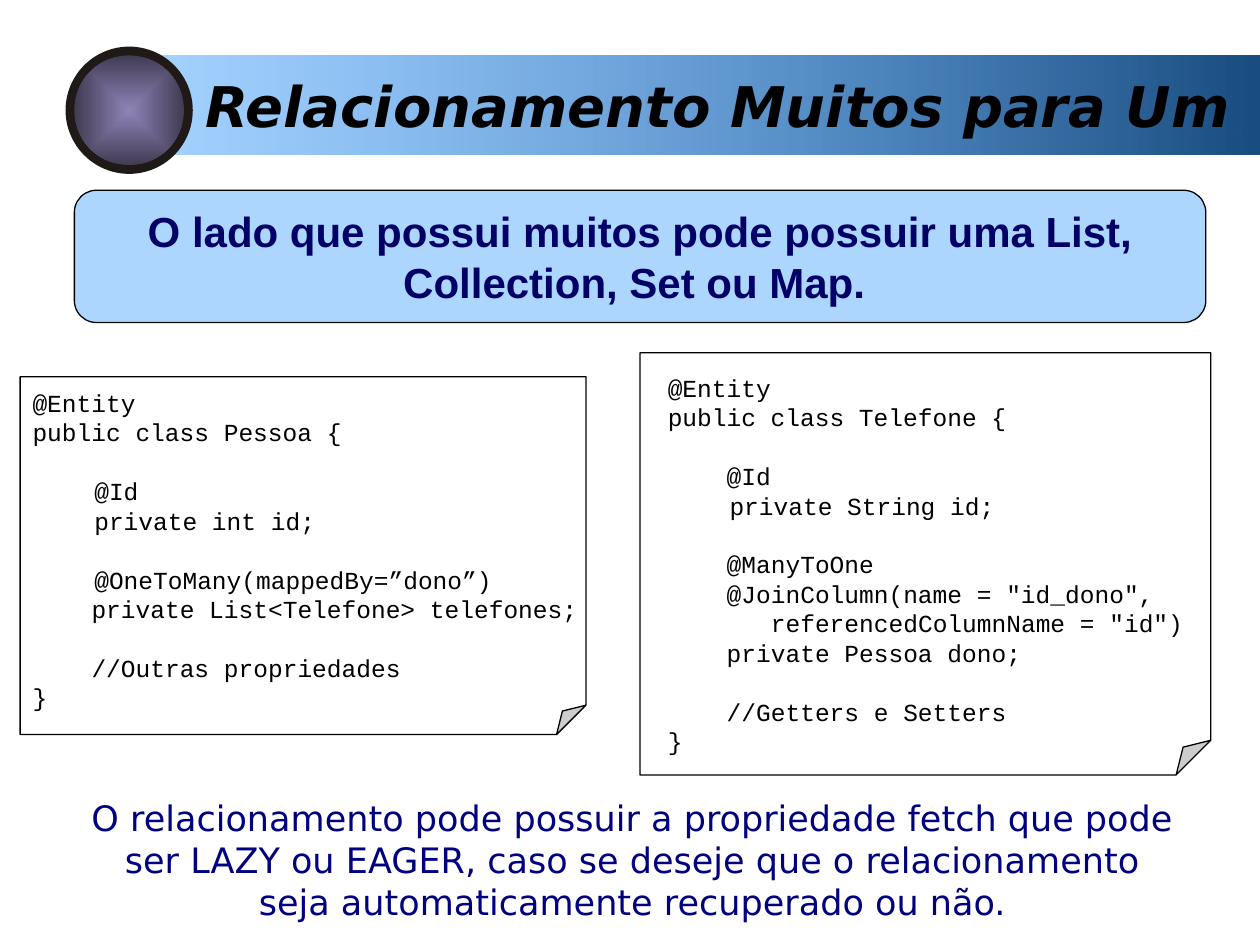
from lxml import etree
from pptx import Presentation
from pptx.dml.color import RGBColor
from pptx.enum.shapes import MSO_SHAPE
from pptx.enum.text import MSO_ANCHOR, MSO_AUTO_SIZE, PP_ALIGN
from pptx.oxml.ns import qn
from pptx.util import Inches, Pt

RECT, OVAL = MSO_SHAPE.RECTANGLE, MSO_SHAPE.OVAL
ROUNDED, FOLDED = MSO_SHAPE.ROUNDED_RECTANGLE, MSO_SHAPE.FOLDED_CORNER
LEFT, CENTER = PP_ALIGN.LEFT, PP_ALIGN.CENTER
TOP, MIDDLE = MSO_ANCHOR.TOP, MSO_ANCHOR.MIDDLE
NO_FIT = MSO_AUTO_SIZE.NONE

COLORS = {
    "black": "000000", "white": "FFFFFF", "banner": "194D81", "sky": "3399FF",
    "ring": "1F1A17", "lilac": "8E84B7", "plum": "413C54",
    "callout": "000066", "navy": "000080",
}
LINE_HEIGHT = 1.2   # of the font size
TAB = 0.49          # indent by one tab stop
CHAR = 0.117        # width of one code character
FOUR = 4 * CHAR
SEVEN = 7 * CHAR

# Code lines: (indent in inches, blank line above, text)
PESSOA = [
    (0, False, "@Entity"),
    (0, False, "public class Pessoa {"),
    (TAB, True, "@Id"),
    (TAB, False, "private int id;"),
    (TAB, True, "@OneToMany(mappedBy=”dono”)"),
    (FOUR, False, "private List<Telefone> telefones;"),
    (FOUR, True, "//Outras propriedades"),
    (0, False, "}"),
]
TELEFONE = [
    (0, False, "@Entity"),
    (0, False, "public class Telefone {"),
    (FOUR, True, "@Id"),
    (TAB, False, "private String id;"),
    (FOUR, True, "@ManyToOne"),
    (FOUR, False, '@JoinColumn(name = "id_dono",'),
    (SEVEN, False, 'referencedColumnName = "id")'),
    (FOUR, False, "private Pessoa dono;"),
    (FOUR, True, "//Getters e Setters"),
    (0, False, "}"),
]


def rgb(name):
    return RGBColor.from_string(COLORS[name])


def set_alpha(color_parent, percent):
    """Make the first RGB colour below the element partly transparent."""
    color = next(color_parent.iter(qn("a:srgbClr")))
    etree.SubElement(color, qn("a:alpha")).set("val", str(percent * 1000))


def set_adjustment(sp, value):
    """Set the corner size in XML, as python-pptx lists none for a folded corner."""
    guides = next(sp._element.spPr.iter(qn("a:avLst")))
    etree.SubElement(guides, qn("a:gd"), name="adj", fmla=f"val {round(value * 100000)}")


class SlideBuilder:
    def __init__(self, slide):
        self.slide = slide

    def shape(self, kind, box, fill=None, line=None, alpha=None, adj=None):
        sp = self.slide.shapes.add_shape(kind, *map(Inches, box))
        sp.shadow.inherit = False
        if adj is not None:
            set_adjustment(sp, adj)
        if fill:
            sp.fill.solid()
            sp.fill.fore_color.rgb = rgb(fill)
        if alpha:
            set_alpha(sp._element.spPr, alpha)
        if line:
            sp.line.color.rgb = rgb(line)
            sp.line.width = Pt(0.75)
        else:
            sp.line.fill.background()
        return sp

    def gradient(self, sp, start, end, angle=0):
        sp.fill.gradient()
        sp.fill.gradient_angle = angle
        for stop, color, position in zip(sp.fill.gradient_stops, (start, end), (0, 1)):
            stop.color.rgb = rgb(color)
            stop.position = position
        return sp._element.spPr.find(qn("a:gradFill"))

    def frame(self, sp, insets=(0.1, 0.05, 0.1, 0.05), anchor=TOP):
        tf = sp.text_frame
        tf.word_wrap = True
        tf.auto_size = NO_FIT
        tf.vertical_anchor = anchor
        tf.margin_left, tf.margin_top, tf.margin_right, tf.margin_bottom = map(Inches, insets)
        return tf

    def paragraph(self, p, text, font, size, color, align=LEFT, bold=False, italic=False):
        p.alignment = align
        p.line_spacing = Pt(size * LINE_HEIGHT)
        p.space_before = Pt(0)
        r = p.add_run()
        r.text = text
        r.font.name, r.font.size = font, Pt(size)
        r.font.bold, r.font.italic = bold, italic
        r.font.color.rgb = rgb(color)

    def title(self, box, text):
        sp = self.slide.shapes.title
        sp.left, sp.top, sp.width, sp.height = map(Inches, box)
        tree = sp._element.getparent()
        tree.append(sp._element)  # in front of the banner
        self.paragraph(self.frame(sp).paragraphs[0], text, "DejaVu Sans", 32,
                       "black", bold=True, italic=True)

    def banner(self, box):
        sp = self.shape(RECT, box)
        grad = self.gradient(sp, "banner", "sky", 180)
        set_alpha(grad.findall(".//" + qn("a:gs"))[1], 44)

    def badge(self, left, top, size, rim):
        self.shape(OVAL, (left, top, size, size), "ring")
        inner = size - 2 * rim
        sp = self.shape(OVAL, (left + rim, top + rim, inner, inner))
        grad = self.gradient(sp, "lilac", "plum")
        grad.remove(grad.find(qn("a:lin")))
        radial = etree.SubElement(grad, qn("a:path"))
        radial.set("path", "rect")
        etree.SubElement(radial, qn("a:fillToRect"), l="50000", t="50000", r="50000", b="50000")

    def callout(self, box, text):
        sp = self.shape(ROUNDED, box, "sky", "black", alpha=40, adj=0.167)
        tf = self.frame(sp, anchor=MIDDLE)
        self.paragraph(tf.paragraphs[0], text, "Arial", 24, "callout", CENTER, bold=True)

    def code_note(self, box, insets, lines):
        sp = self.shape(FOLDED, box, "white", "black", adj=0.082)
        tf = self.frame(sp, insets)
        size = 14
        for i, (indent, gap, text) in enumerate(lines):
            p = tf.add_paragraph() if i else tf.paragraphs[0]
            self.paragraph(p, text, "Courier New", size, "black")
            p._p.get_or_add_pPr().set("marL", str(Inches(indent)))
            if gap:
                p.space_before = Pt(size * LINE_HEIGHT)

    def remark(self, box, text):
        sp = self.slide.shapes.add_textbox(*map(Inches, box))
        self.paragraph(self.frame(sp).paragraphs[0], text, "DejaVu Sans", 20, "navy", CENTER)


def main():
    prs = Presentation()
    prs.slide_width, prs.slide_height = Inches(10), Inches(7.5)
    s = SlideBuilder(prs.slides.add_slide(prs.slide_layouts[5]))
    s.banner((1.22, 0.44, 8.78, 0.79))
    s.title((1.53, 0.52, 8.47, 0.64), "Relacionamento Muitos para Um")
    s.badge(0.52, 0.37, 1.01, 0.07)
    s.callout((0.59, 1.51, 8.98, 1.05),
              "O lado que possui muitos pode possuir uma List, Collection, Set ou Map. ")
    s.code_note((0.16, 2.99, 4.49, 2.84), (0.1, 0.09, 0.04, 0.05), PESSOA)
    s.code_note((5.08, 2.8, 4.53, 3.35), (0.22, 0.16, 0.1, 0.05), TELEFONE)
    s.remark((0.59, 6.27, 8.86, 1.1),
             "O relacionamento pode possuir a propriedade fetch que pode ser LAZY ou EAGER, "
             "caso se deseje que o relacionamento seja automaticamente recuperado ou não.")
    prs.save("out.pptx")


if __name__ == "__main__":
    main()
